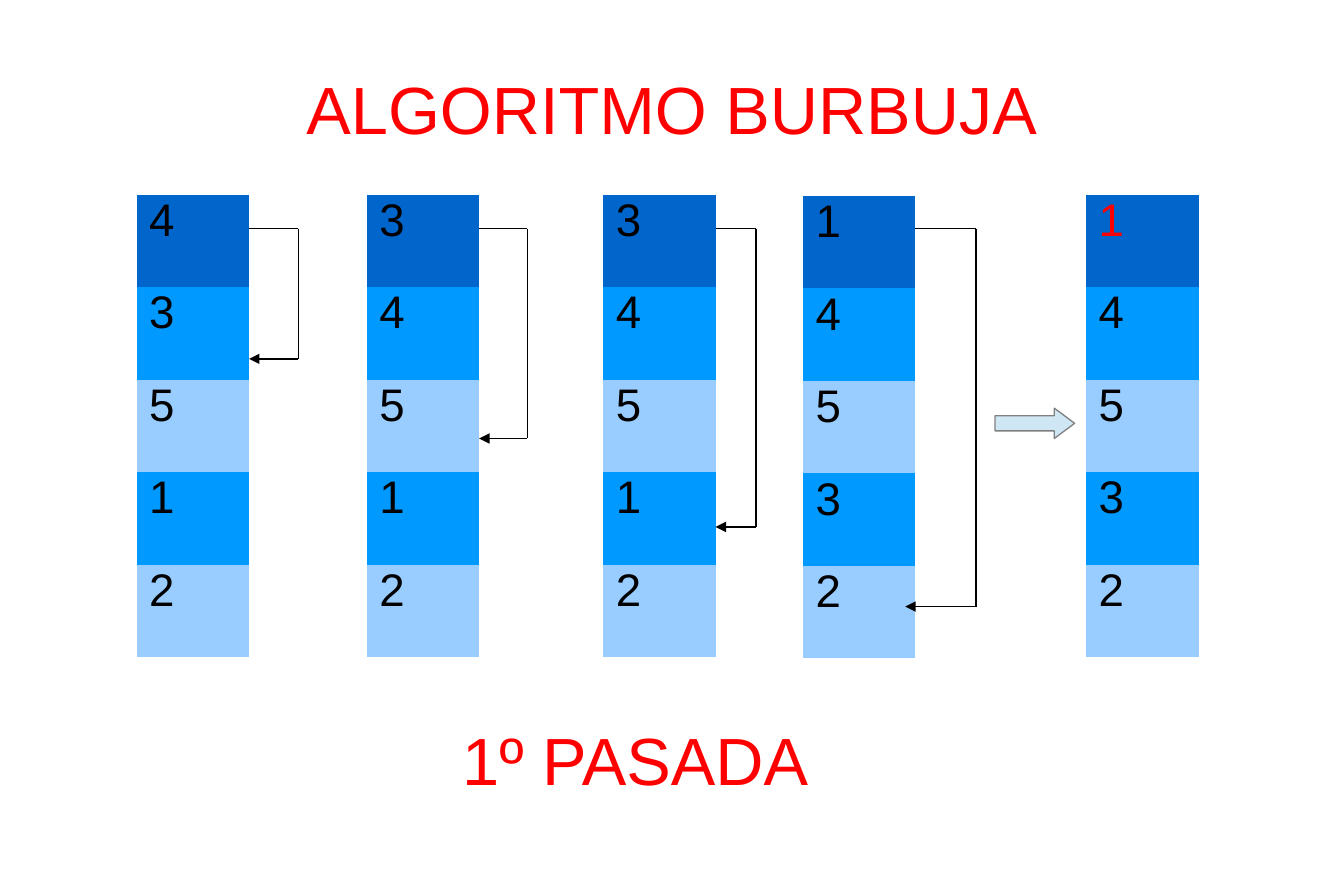
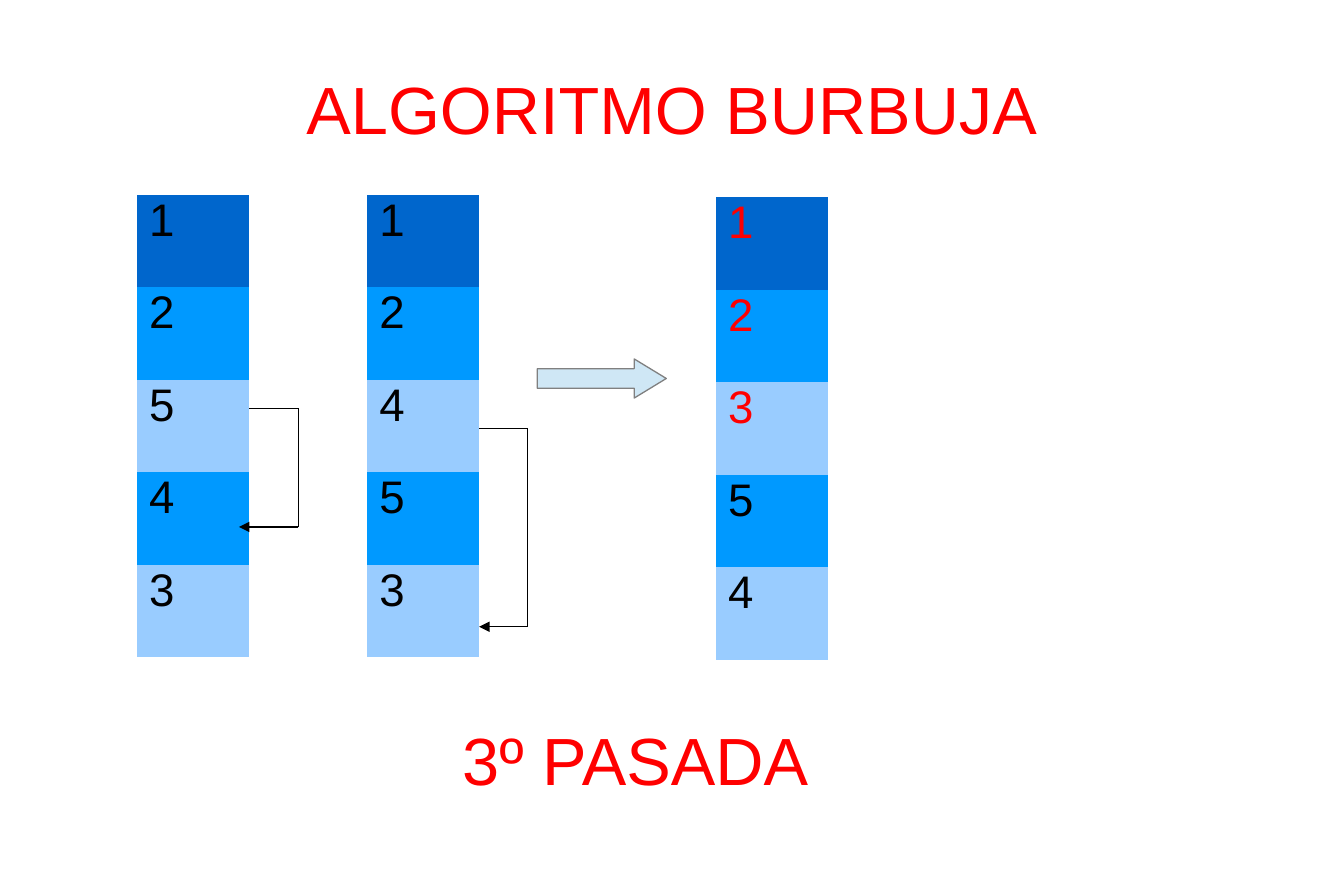
from dataclasses import dataclass

from lxml.etree import SubElement
from pptx import Presentation
from pptx.dml.color import RGBColor as RGB
from pptx.enum.shapes import MSO_CONNECTOR as CONN, MSO_SHAPE as SHAPE
from pptx.enum.text import MSO_ANCHOR as ANCHOR, MSO_AUTO_SIZE as FIT, PP_ALIGN as ALIGN
from pptx.oxml.ns import qn
from pptx.util import Inches, Pt


@dataclass(frozen=True)
class Theme:
    font: str = "Arial"
    title_size: int = 38
    cell_size: int = 26
    line_width: float = 0.75
    red: RGB = RGB(0xFF, 0, 0)
    black: RGB = RGB(0, 0, 0)
    dark_blue: RGB = RGB(0, 0x66, 0xCC)
    mid_blue: RGB = RGB(0, 0x99, 0xFF)
    light_blue: RGB = RGB(0x99, 0xCC, 0xFF)
    arrow_fill: RGB = RGB(0xCF, 0xE7, 0xF5)
    arrow_line: RGB = RGB(0x80, 0x80, 0x80)
    no_table_style: str = "{2D5ABB26-0587-4C30-8999-92F81FD0307C}"


class Deck:
    """Holds the theme and the current slide, and draws each kind of element."""

    def __init__(self, theme):
        self.th = theme
        self.prs = Presentation()
        self.prs.slide_width = Inches(10.63)
        self.prs.slide_height = Inches(7.09)

    def slide(self, title, caption):
        self.s = self.prs.slides.add_slide(self.prs.slide_layouts[5])
        box = [Inches(v) for v in (0.53, 0.28, 9.57, 1.18)]
        sp = self.s.shapes.title
        sp.left, sp.top, sp.width, sp.height = box
        self.heading(sp, title)
        box[:2] = Inches(0.24), Inches(5.43)
        self.heading(self.s.shapes.add_textbox(*box), caption)

    def heading(self, sp, text):
        tf = sp.text_frame
        tf.word_wrap = True
        tf.auto_size = FIT.NONE
        tf.vertical_anchor = ANCHOR.MIDDLE
        tf.margin_left = tf.margin_right = tf.margin_bottom = 0
        tf.margin_top = Inches(0.04)
        p = tf.paragraphs[0]
        p.alignment = ALIGN.CENTER
        p.line_spacing = 0.93
        self.run(p, text, self.th.title_size, self.th.red)

    def run(self, p, text, size, color):
        r = p.add_run()
        r.text = text
        r.font.name = self.th.font
        r.font.size = Pt(size)
        r.font.color.rgb = color

    def column(self, left, values, top=1.54, placed=0):
        th = self.th
        frame = self.s.shapes.add_table(len(values), 1, Inches(left), Inches(top),
                                        Inches(0.89), Inches(3.66))
        tbl = frame.table
        tbl.first_row = tbl.horz_banding = False
        frame._element.find(".//" + qn("a:tableStyleId")).text = th.no_table_style
        for i, value in enumerate(values):
            cell = tbl.cell(i, 0)
            cell.fill.solid()
            cell.fill.fore_color.rgb = (th.dark_blue if i == 0 else
                                        th.mid_blue if i % 2 else th.light_blue)
            p = cell.text_frame.paragraphs[0]
            p.line_spacing = 0.87
            self.run(p, value, th.cell_size, th.red if i < placed else th.black)

    def line(self, start, end, head=False):
        c = self.s.shapes.add_connector(CONN.STRAIGHT, *map(Inches, start + end))
        c.line.color.rgb = self.th.black
        c.line.width = Pt(self.th.line_width)
        if head:
            SubElement(c.line._get_or_add_ln(), qn("a:tailEnd"), type="triangle")
        SubElement(c._element.spPr, qn("a:effectLst"))

    def compare(self, left, bend, top, bottom, tip=None):
        self.line((left, top), (bend, top))
        self.line((bend, top), (bend, bottom))
        self.line((bend, bottom), (tip or left, bottom), head=True)

    def arrow(self, left, top, width, height, head):
        sp = self.s.shapes.add_shape(SHAPE.RIGHT_ARROW, *map(Inches, (left, top, width, height)))
        sp.adjustments[1] = head
        sp.shadow.inherit = False
        sp.fill.solid()
        sp.fill.fore_color.rgb = self.th.arrow_fill
        sp.line.color.rgb = self.th.arrow_line
        sp.line.width = Pt(self.th.line_width)


def main():
    title = "ALGORITMO BURBUJA"
    d = Deck(Theme())

    d.slide(title, "1º PASADA")
    d.column(1.08, "43512")
    d.column(2.9, "34512")
    d.column(4.77, "34512")
    d.column(6.35, "14532", top=1.55)
    d.compare(1.97, 2.36, 1.81, 2.84)
    d.compare(3.79, 4.17, 1.81, 3.47)
    d.compare(5.66, 5.98, 1.81, 4.17)
    d.compare(7.24, 7.72, 1.81, 4.8, tip=7.16)
    d.column(8.59, "14532", placed=1)
    d.arrow(7.87, 3.23, 0.63, 0.24, head=0.67)

    d.slide(title, "3º PASADA")
    d.column(1.08, "12543")
    d.column(2.9, "12453")
    d.column(5.66, "12354", top=1.56, placed=3)
    d.compare(1.97, 2.36, 3.23, 4.17, tip=1.89)
    d.compare(3.79, 4.17, 3.39, 4.96)
    d.arrow(4.25, 2.84, 1.02, 0.31, head=0.82)

    d.prs.save("out.pptx")


if __name__ == "__main__":
    main()
